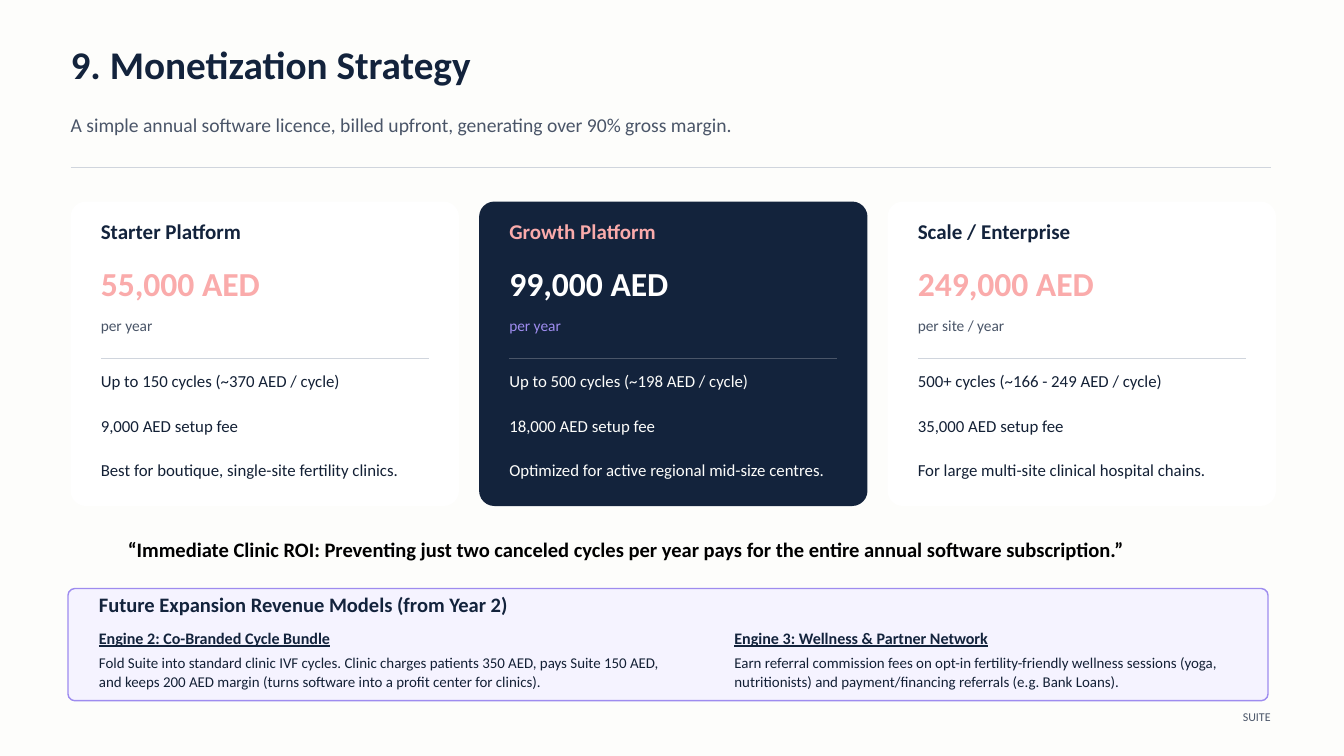
from dataclasses import dataclass

from lxml.etree import SubElement
from pptx import Presentation
from pptx.dml.color import RGBColor
from pptx.enum.shapes import MSO_CONNECTOR, MSO_SHAPE
from pptx.enum.text import PP_ALIGN
from pptx.oxml.ns import qn
from pptx.util import Cm, Pt


@dataclass(frozen=True)
class Theme:
    font: str = "Calibri"
    page: str = "FDFDFB"
    white: str = "FFFFFF"
    black: str = "000000"
    navy: str = "13233C"
    ink: str = "132035"
    slate: str = "4A5568"
    rule: str = "D0D5DD"
    pink: str = "FAABAB"
    violet: str = "9E8CEF"
    lilac: str = "F5F3FF"
    title: float = 42
    price: float = 36
    plan: float = 22.5
    head: float = 22
    lead: float = 21
    body: float = 18
    engine: float = 17.2
    term: float = 16.5
    note: float = 16
    foot: float = 12.8


@dataclass(frozen=True)
class Look:
    """Colours of one pricing card."""
    fill: str
    name: str
    price: str
    term: str
    rule: str
    body: str


@dataclass(frozen=True)
class Plan:
    name: str
    price: str
    term: str
    facts: tuple[str, ...]
    look: Look


@dataclass(frozen=True)
class Engine:
    left: float
    width: float
    name: str
    note: str


T = Theme()
LIGHT = Look(T.white, T.navy, T.pink, T.slate, T.rule, T.ink)
DARK = Look(T.navy, T.pink, T.white, T.violet, T.slate, T.page)

PLANS = (
    Plan("Starter Platform", "55,000 AED", "per year",
         ("Up to 150 cycles (~370 AED / cycle)", "9,000 AED setup fee",
          "Best for boutique, single-site fertility clinics."), LIGHT),
    Plan("Growth Platform", "99,000 AED", "per year",
         ("Up to 500 cycles (~198 AED / cycle)", "18,000 AED setup fee",
          "Optimized for active regional mid-size centres."), DARK),
    Plan("Scale / Enterprise", "249,000 AED", "per site / year",
         ("500+ cycles (~166 - 249 AED / cycle)", "35,000 AED setup fee",
          "For large multi-site clinical hospital chains."), LIGHT),
)
ENGINES = (
    Engine(3.74, 21.82, "Engine 2: Co-Branded Cycle Bundle",
           "Fold Suite into standard clinic IVF cycles. Clinic charges patients "
           "350 AED, pays Suite 150 AED, and keeps 200 AED margin (turns software "
           "into a profit center for clinics)."),
    Engine(27.76, 19.2, "Engine 3: Wellness & Partner Network",
           "Earn referral commission fees on opt-in fertility-friendly wellness "
           "sessions (yoga, nutritionists) and payment/financing referrals "
           "(e.g. Bank Loans)."),
)

LEFT, SPAN = 2.67, 45.36
CARD_TOP, CARD_W, CARD_H = 7.62, 14.68, 11.51
STEP, PAD = 15.44, 1.14


def rgb(code: str) -> RGBColor:
    return RGBColor.from_string(code)


def write(slide, box: tuple, *lines: str, size: float, lead: float, color: str,
          bold: bool = False, under: bool = False, gap: float = 0,
          align: PP_ALIGN = PP_ALIGN.LEFT) -> None:
    """Set lines in a box given in cm; lead and gap are in points."""
    frame = slide.shapes.add_textbox(*map(Cm, box)).text_frame
    frame.word_wrap = True
    frame.margin_left = frame.margin_right = 0
    frame.margin_top = frame.margin_bottom = 0
    for i, line in enumerate(lines):
        para = frame.add_paragraph() if i else frame.paragraphs[0]
        para.alignment = align
        para.line_spacing = Pt(lead)
        if i:
            para.space_before = Pt(gap)
        run = para.add_run()
        run.text = line
        font = run.font
        font.name, font.size = T.font, Pt(size)
        font.bold, font.underline = bold, under
        font.color.rgb = rgb(color)


def panel(slide, box: tuple, fill: str, curve: float, edge: str = "") -> None:
    shape = slide.shapes.add_shape(MSO_SHAPE.ROUNDED_RECTANGLE, *map(Cm, box))
    shape.shadow.inherit = False
    shape.adjustments[0] = curve
    shape.fill.solid()
    shape.fill.fore_color.rgb = rgb(fill)
    if edge:
        shape.line.color.rgb = rgb(edge)
        shape.line.width = Pt(1.5)
    else:
        shape.line.fill.background()


def rule(slide, left: float, top: float, width: float, color: str,
         weight: float) -> None:
    line = slide.shapes.add_connector(
        MSO_CONNECTOR.STRAIGHT, Cm(left), Cm(top), Cm(left + width), Cm(top))
    line.line.color.rgb = rgb(color)
    line.line.width = Pt(weight)
    SubElement(line._element.spPr, qn("a:effectLst"))


def card(slide, left: float, plan: Plan) -> None:
    look = plan.look
    x, width = left + PAD, CARD_W - 2 * PAD
    panel(slide, (left, CARD_TOP, CARD_W, CARD_H), look.fill, 0.05)
    write(slide, (x, 8.18, width, 1.73), plan.name,
          size=T.plan, lead=29.7, color=look.name, bold=True)
    write(slide, (x, 9.8, width, 2), plan.price,
          size=T.price, lead=47.5, color=look.price, bold=True)
    write(slide, (x, 11.89, width, 1.27), plan.term,
          size=T.term, lead=21.8, color=look.term)
    rule(slide, x, 13.56, width, look.rule, 1.5)
    write(slide, (x, 13.94, width, 4.19), *plan.facts,
          size=T.body, lead=23.8, color=look.body, gap=23.8)


def future(slide) -> None:
    """Draw the panel of later revenue engines."""
    panel(slide, (2.57, 22.25, SPAN, 4.24), T.lilac, 0.06, edge=T.violet)
    write(slide, (3.74, 22.3, 43.03, 1.12),
          "Future Expansion Revenue Models (from Year 2)",
          size=T.head, lead=29, color=T.navy, bold=True)
    for item in ENGINES:
        write(slide, (item.left, 23.67, item.width, 0.89), item.name,
              size=T.engine, lead=22.8, color=T.navy, bold=True, under=True)
        write(slide, (item.left, 24.69, item.width, 1.45), item.note,
              size=T.note, lead=20.1, color=T.ink)


def main() -> None:
    deck = Presentation()
    deck.slide_width, deck.slide_height = Cm(50.8), Cm(28.58)
    slide = deck.slides.add_slide(deck.slide_layouts[6])
    slide.background.fill.solid()
    slide.background.fill.fore_color.rgb = rgb(T.page)

    write(slide, (LEFT, 1.35, 41.94, 3.43), "9. Monetization Strategy",
          size=T.title, lead=55.5, color=T.navy, bold=True)
    write(slide, (LEFT, 4.19, 41.94, 2.08),
          "A simple annual software licence, billed upfront, "
          "generating over 90% gross margin.",
          size=T.lead, lead=27.7, color=T.slate)
    rule(slide, LEFT, 6.33, SPAN, T.rule, 2)
    for i, plan in enumerate(PLANS):
        card(slide, LEFT + i * STEP, plan)
    future(slide)
    write(slide, (43.84, 26.77, 4.19, 1.24), "SUITE", size=T.foot, lead=16.8,
          color=T.slate, align=PP_ALIGN.RIGHT)
    write(slide, (4.78, 20.19, 37.74, 1.12),
          "“Immediate Clinic ROI: Preventing just two canceled cycles per year "
          "pays for the entire annual software subscription.”",
          size=T.head, lead=29, color=T.black, bold=True, align=PP_ALIGN.CENTER)
    deck.save("out.pptx")


if __name__ == "__main__":
    main()
